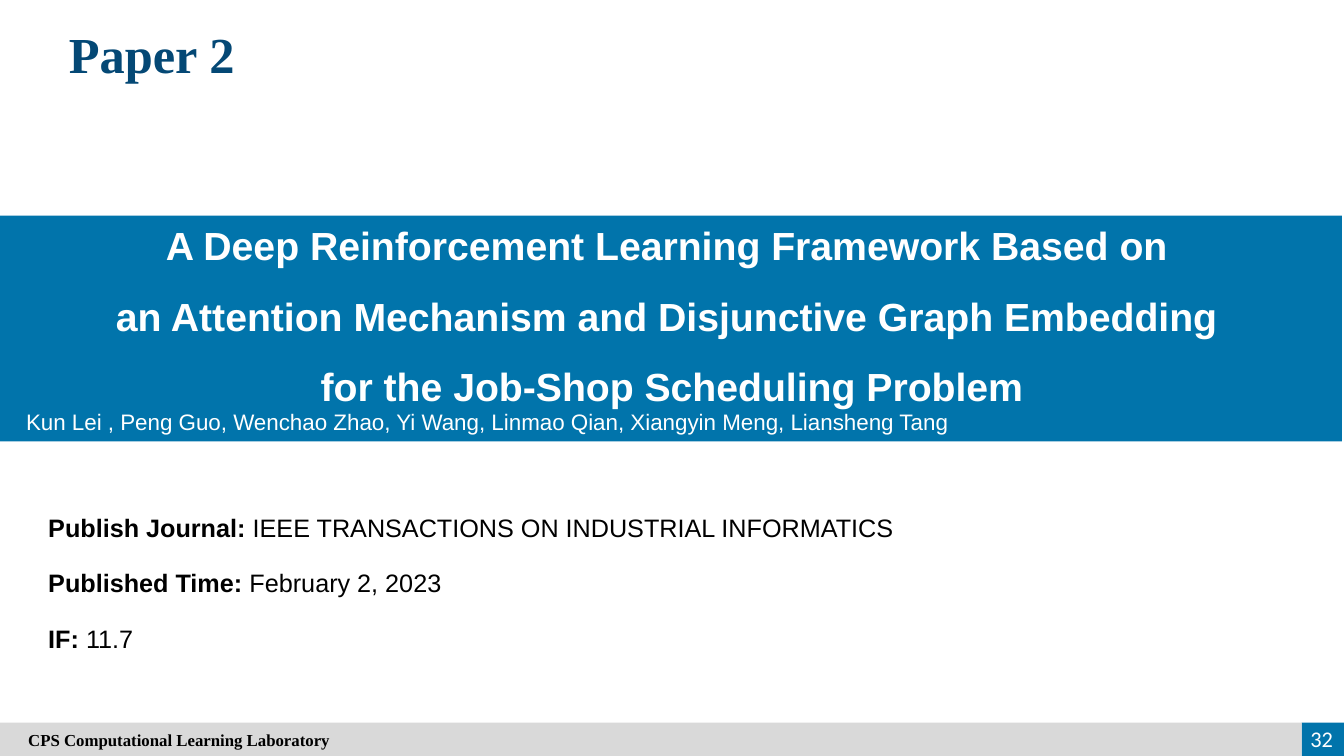
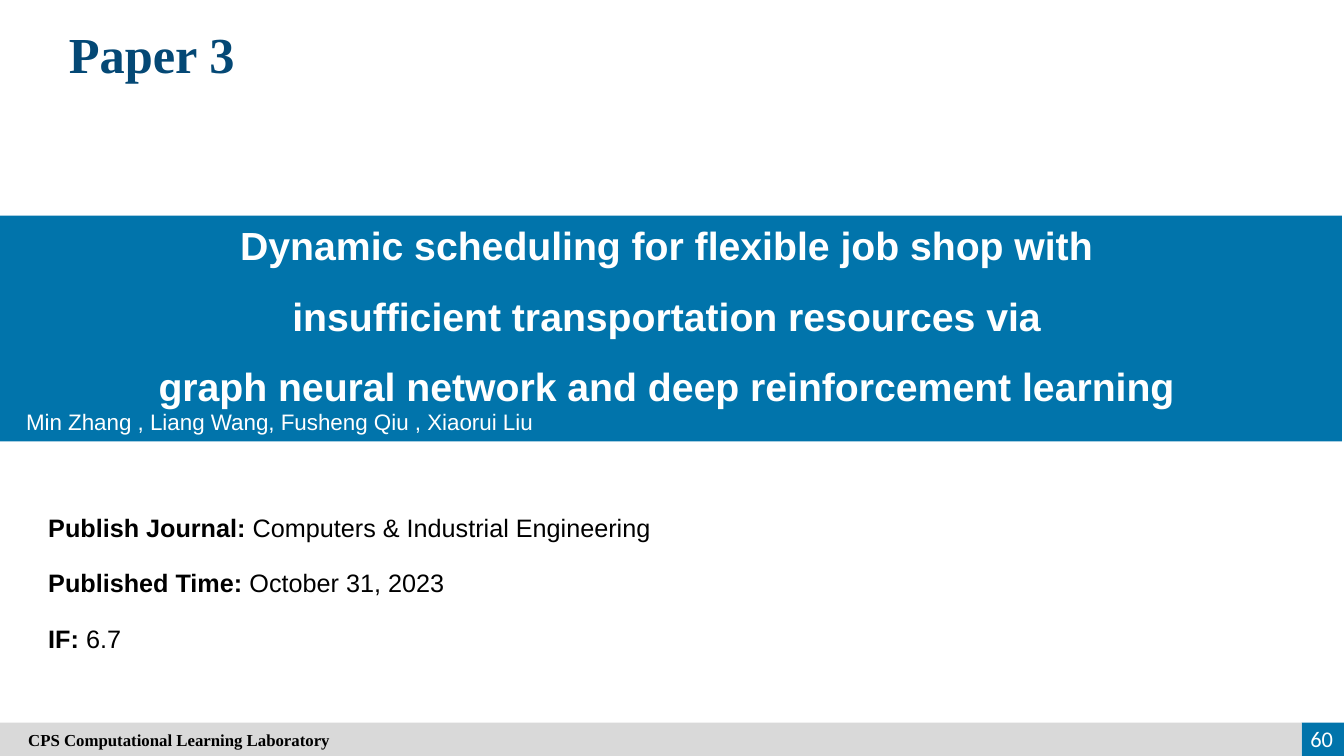
from pptx import Presentation
from pptx.dml.color import RGBColor as RGB
from pptx.enum.shapes import MSO_SHAPE as Shape
from pptx.enum.text import MSO_ANCHOR as Anchor, PP_ALIGN as Align
from pptx.util import Inches, Pt

BLUE = RGB(0x01, 0x74, 0xAB)
NAVY = RGB(0x04, 0x48, 0x75)
GRAY = RGB(0xD9, 0xD9, 0xD9)
WHITE = RGB(0xFF, 0xFF, 0xFF)
BLACK = RGB(0x00, 0x00, 0x00)
SANS, SERIF, PLAIN = "Arial", "Times New Roman", "Calibri"
WIDTH, HEIGHT = 13.33, 7.5
LAB = "CPS Computational Learning Laboratory"

PAPERS = [
    {
        "head": "Paper 2",
        "title": [
            "A Deep Reinforcement Learning Framework Based on ",
            "an Attention Mechanism and Disjunctive Graph Embedding ",
            "for the Job-Shop Scheduling Problem",
        ],
        "authors": "Kun Lei , Peng Guo, Wenchao Zhao, Yi Wang, Linmao Qian, "
                   "Xiangyin Meng, Liansheng Tang",
        "facts": [
            ("Publish Journal:", "IEEE TRANSACTIONS ON INDUSTRIAL INFORMATICS"),
            ("Published Time:", "February 2, 2023"),
            ("IF:", "11.7"),
        ],
        "page": "32",
    },
    {
        "head": "Paper 3",
        "title": [
            "Dynamic scheduling for flexible job shop with ",
            "insufficient transportation resources via ",
            "graph neural network and deep reinforcement learning ",
        ],
        "authors": "Min Zhang , Liang Wang, Fusheng Qiu , Xiaorui Liu",
        "facts": [
            ("Publish Journal:", "Computers & Industrial Engineering"),
            ("Published Time:", "October 31, 2023"),
            ("IF:", "6.7"),
        ],
        "page": "60",
    },
]


class Deck:
    def __init__(self):
        self.prs = Presentation()
        self.prs.slide_width = Inches(WIDTH)
        self.prs.slide_height = Inches(HEIGHT)
        self.slide = None

    def add(self):
        self.slide = self.prs.slides.add_slide(self.prs.slide_layouts[6])

    def bar(self, x, y, w, h, fill):
        bar = self.slide.shapes.add_shape(
            Shape.RECTANGLE, Inches(x), Inches(y), Inches(w), Inches(h))
        bar.shadow.inherit = False
        bar.fill.solid()
        bar.fill.fore_color.rgb = fill
        bar.line.fill.background()
        return bar

    def box(self, x, y, w, h):
        return self.slide.shapes.add_textbox(
            Inches(x), Inches(y), Inches(w), Inches(h))

    def label(self, shape, text, size, color, font=SANS, bold=False,
              align=Align.LEFT, anchor=Anchor.TOP, space=None):
        frame = shape.text_frame
        frame.word_wrap = True
        frame.vertical_anchor = anchor
        frame.text = text
        for para in frame.paragraphs:
            para.alignment = align
            para.line_spacing = space
            for run in para.runs:
                self.style(run, size, color, font, bold)
        return frame

    def style(self, run, size, color, font, bold):
        run.font.size = Pt(size)
        run.font.color.rgb = color
        run.font.name = font
        run.font.bold = bold

    def head(self, text):
        self.label(self.box(0.38, 0.18, 2.25, 0.71), text, 36, NAVY, SERIF,
                   bold=True, align=Align.CENTER)

    def banner(self, title, authors):
        self.bar(0, 2.14, 13.31, 2.24, BLUE)
        self.label(self.box(0, 1.95, WIDTH, 2.13), "\n".join(title), 28, WHITE,
                   bold=True, align=Align.CENTER, anchor=Anchor.MIDDLE,
                   space=1.5)
        self.label(self.box(0.16, 4, 13, 0.37), authors, 16, WHITE)

    def fact(self, y, name, value):
        frame = self.label(self.box(0.38, y, 9.98, 0.4), name, 18, BLACK,
                           bold=True)
        run = frame.paragraphs[0].add_run()
        run.text = " " + value
        self.style(run, 18, BLACK, SANS, False)

    def footer(self, page):
        edge, top = 12.91, 7.17
        self.bar(edge, top, WIDTH - edge, HEIGHT - top, BLUE)
        strip = self.bar(0, top, edge, HEIGHT - top, GRAY)
        frame = self.label(strip, LAB, 12, BLACK, SERIF, bold=True,
                           anchor=Anchor.MIDDLE)
        frame.margin_left = Inches(0.28)
        self.label(self.box(12.69, 7.13, 0.63, 0.4), page, 16, WHITE, PLAIN,
                   align=Align.RIGHT, anchor=Anchor.MIDDLE)


def main():
    deck = Deck()
    for paper in PAPERS:
        deck.add()
        deck.banner(paper["title"], paper["authors"])
        deck.head(paper["head"])
        # Publication facts, evenly spaced
        for i, (name, value) in enumerate(paper["facts"]):
            deck.fact(5.03 + 0.55 * i, name, value)
        deck.footer(paper["page"])
    deck.prs.save("out.pptx")


if __name__ == "__main__":
    main()
